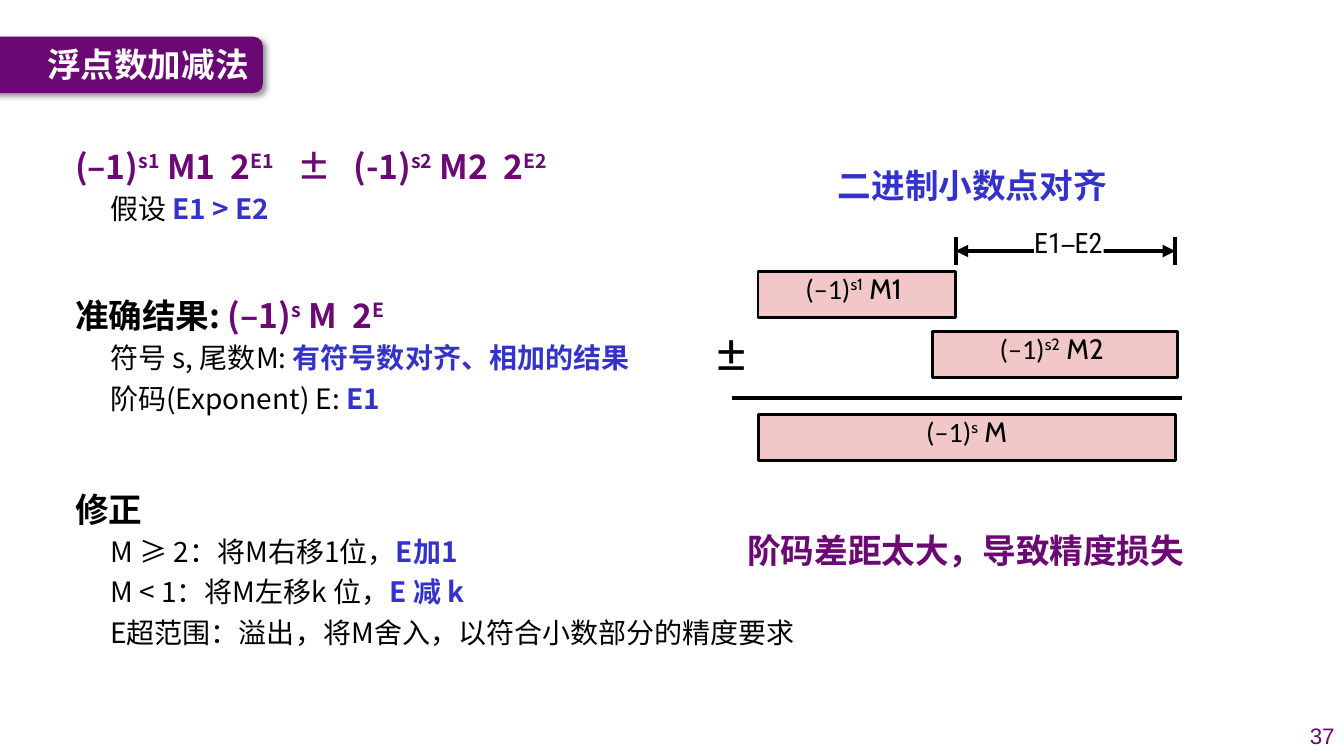
from lxml import etree
from pptx import Presentation
from pptx.dml.color import RGBColor
from pptx.enum.shapes import MSO_CONNECTOR, MSO_SHAPE
from pptx.enum.text import MSO_ANCHOR, PP_ALIGN
from pptx.oxml.ns import qn
from pptx.util import Pt

LEFT, CENTER, RIGHT = PP_ALIGN.LEFT, PP_ALIGN.CENTER, PP_ALIGN.RIGHT
TOP, MIDDLE = MSO_ANCHOR.TOP, MSO_ANCHOR.MIDDLE
RECTANGLE, ROUNDED = MSO_SHAPE.RECTANGLE, MSO_SHAPE.ROUNDED_RECTANGLE
STRAIGHT = MSO_CONNECTOR.STRAIGHT

COLORS = {"banner": "6A0874", "purple": "6B0874", "blue": "3333CC",
          "pink": "F1C7C7", "black": "000000", "white": "FFFFFF"}
NOTO = "Noto Sans CJK SC"
SUPER = 32000
GAP, WIDE_GAP = 540, 1080

TITLE = "浮点数加减法"
PAGE_NUMBER = "37"

# (level, space before, [(text, color, bold, raised, tracking)])
BODY = [
    (0, 0, [("(–1)", "purple", True), ("s1", "purple", True, True),
            (" M1", "purple", True), (" ", "purple", True, False, GAP),
            ("2", "purple", True), ("E1", "purple", True, True),
            (" ", "purple", True, False, WIDE_GAP), ("±", "purple", True),
            (" ", "purple", True, False, WIDE_GAP), ("(-1)", "purple", True),
            ("s2", "purple", True, True), (" M2", "purple", True),
            (" ", "purple", True, False, GAP), ("2", "purple", True),
            ("E2", "purple", True, True)]),
    (1, 4, [("假设 ", "black", False), ("E1 > E2", "blue", True)]),
    (0, 44, [("准确结果: ", "black", True), ("(–1)", "purple", True),
             ("s", "purple", True, True), (" M", "purple", True),
             (" ", "purple", True, False, GAP), ("2", "purple", True),
             ("E", "purple", True, True)]),
    (1, 4, [("符号 s, 尾数M: ", "black", False), ("有符号数对齐、相加的结果", "blue", True)]),
    (1, 4.8, [("阶码(Exponent) E: ", "black", False), ("E1", "blue", True)]),
    (0, 47, [("修正", "black", True)]),
    (1, 4, [("M ≥ 2：将M右移1位，", "black", False), ("E加1", "blue", True)]),
    (1, 4.8, [("M < 1：将M左移k 位，", "black", False), ("E 减 k", "blue", True)]),
    (1, 4.8, [("E超范围：溢出，将M舍入，以符合小数部分的精度要求", "black", False)]),
]
LEVELS = [{"size": 24, "spacing": 1.2, "indent": 0},
          {"size": 20, "spacing": 1.0, "indent": 25.2}]

# (left, top, width, exponent, mantissa)
OPERANDS = [(541.5, 194, 141, "s1", " M1 "),
            (666, 236.9, 175, "s2", " M2 "),
            (541.5, 296, 298, "s", " M")]
OPERAND_HEIGHT = 33

# (left, top, width, height, text, color)
CAPTIONS = [(556.5, 114.2, 276, 36, "二进制小数点对齐", "blue"),
            (521.3, 374.8, 337, 36, "阶码差距太大，导致精度损失", "purple")]

SPAN_LEFT, SPAN_RIGHT = 682.6, 839.5
SPAN_TOP, SPAN_BOTTOM = 169.2, 189.4
SPAN_MIDDLE = (SPAN_TOP + SPAN_BOTTOM) / 2
# (x1, y1, x2, y2, arrowheads)
LINES = [(SPAN_LEFT, SPAN_TOP, SPAN_LEFT, SPAN_BOTTOM, False),
         (SPAN_RIGHT, SPAN_TOP, SPAN_RIGHT, SPAN_BOTTOM, False),
         (SPAN_LEFT, SPAN_MIDDLE, SPAN_RIGHT, SPAN_MIDDLE, True),
         (522.7, 284.4, 844.6, 284.4, False)]


def rgb(name):
    return RGBColor.from_string(COLORS[name])


def add_span(para, text, size, font, color, bold=False, raised=False, tracking=0):
    span = para.add_run()
    span.text = text
    span.font.size = Pt(size)
    span.font.bold = bold
    span.font.color.rgb = rgb(color)
    span.font.name = font
    properties = span.font._element
    etree.SubElement(properties, qn("a:ea")).set("typeface", font)
    if raised:
        properties.set("baseline", str(SUPER))
    if tracking:
        properties.set("spc", str(tracking))


def prepare(box, anchor, wrap, inset):
    frame = box.text_frame
    frame.word_wrap = wrap
    frame.vertical_anchor = anchor
    side, edge = (7.2, 3.6) if inset else (0, 0)
    frame.margin_left = frame.margin_right = Pt(side)
    frame.margin_top = frame.margin_bottom = Pt(edge)
    return frame


def add_text(page, left, top, width, height, spans, align=LEFT, anchor=MIDDLE,
             wrap=True, inset=True):
    box = page.shapes.add_textbox(Pt(left), Pt(top), Pt(width), Pt(height))
    para = prepare(box, anchor, wrap, inset).paragraphs[0]
    para.alignment = align
    for span in spans:
        add_span(para, *span)
    return box


def add_block(page, kind, left, top, width, height, fill):
    block = page.shapes.add_shape(kind, Pt(left), Pt(top), Pt(width), Pt(height))
    block.shadow.inherit = False
    block.fill.solid()
    block.fill.fore_color.rgb = rgb(fill)
    block.line.fill.background()
    return block


def add_banner(page):
    banner = add_block(page, ROUNDED, -56.2, 26.2, 244, 40.3, "banner")
    effects = banner._element.spPr.find(qn("a:effectLst"))
    shadow = etree.SubElement(effects, qn("a:outerShdw"), blurRad=str(Pt(4)),
                              dist=str(Pt(3)), dir="2700000", algn="tl", rotWithShape="0")
    shade = etree.SubElement(shadow, qn("a:srgbClr"), val=COLORS["black"])
    etree.SubElement(shade, qn("a:alpha"), val="40000")
    add_text(page, 26.6, 26, 161.3, 39.6, [(TITLE, 24, NOTO, "white", True)])


def add_body(page):
    box = page.shapes.add_textbox(Pt(46.5), Pt(94.8), Pt(533), Pt(402))
    frame = prepare(box, TOP, True, True)
    for index, (level, before, spans) in enumerate(BODY):
        para = frame.add_paragraph() if index else frame.paragraphs[0]
        style = LEVELS[level]
        para.level = level
        para.line_spacing = style["spacing"]
        if index:
            para.space_before = Pt(before)
        para._p.get_or_add_pPr().set("marL", str(Pt(style["indent"])))
        para._p.get_or_add_pPr().set("indent", "0")
        for text, *look in spans:
            add_span(para, text, style["size"], NOTO, *look)


def add_operand(page, left, top, width, exponent, mantissa):
    block = add_block(page, RECTANGLE, left, top, width, OPERAND_HEIGHT, "pink")
    block.line.color.rgb = rgb("black")
    block.line.width = Pt(2)
    para = prepare(block, TOP, True, False).paragraphs[0]
    para.alignment = CENTER
    add_span(para, "(–1)", 20, "Calibri", "black")
    add_span(para, exponent, 20, "Cabin", "black", raised=True)
    add_span(para, mantissa, 20, "Cabin", "black")


def add_line(page, x1, y1, x2, y2, arrowheads):
    line = page.shapes.add_connector(STRAIGHT, Pt(x1), Pt(y1), Pt(x2), Pt(y2))
    line.line.color.rgb = rgb("black")
    line.line.width = Pt(3)
    if arrowheads:
        for end in ("a:headEnd", "a:tailEnd"):
            etree.SubElement(line.line._get_or_add_ln(), qn(end), type="triangle")
    etree.SubElement(line._element.spPr, qn("a:effectLst"))


def main():
    deck = Presentation()
    deck.slide_width, deck.slide_height = Pt(960), Pt(540)
    page = deck.slides.add_slide(deck.slide_layouts[6])

    add_banner(page)
    add_text(page, 920.9, 511.2, 39.5, 28.8,
             [(PAGE_NUMBER, 16, "Arial", "banner")], RIGHT)
    add_body(page)
    for operand in OPERANDS:
        add_operand(page, *operand)
    for line in LINES:
        add_line(page, *line)

    label = add_text(page, 738.7, 161.3, 49.7, 24.5,
                     [("E1", 20, "Roboto Condensed", "black"),
                      ("–", 20, "Arial Narrow", "black"),
                      ("E2", 20, "Roboto Condensed", "black")],
                     anchor=TOP, wrap=False, inset=False)
    label.fill.solid()
    label.fill.fore_color.rgb = rgb("white")
    add_text(page, 512.2, 226, 20.2, 48.2, [("±", 40, "Calibri", "black")],
             CENTER, wrap=False, inset=False)
    for left, top, width, height, text, color in CAPTIONS:
        add_text(page, left, top, width, height, [(text, 24, NOTO, color, True)], CENTER)

    deck.save("out.pptx")


if __name__ == "__main__":
    main()
